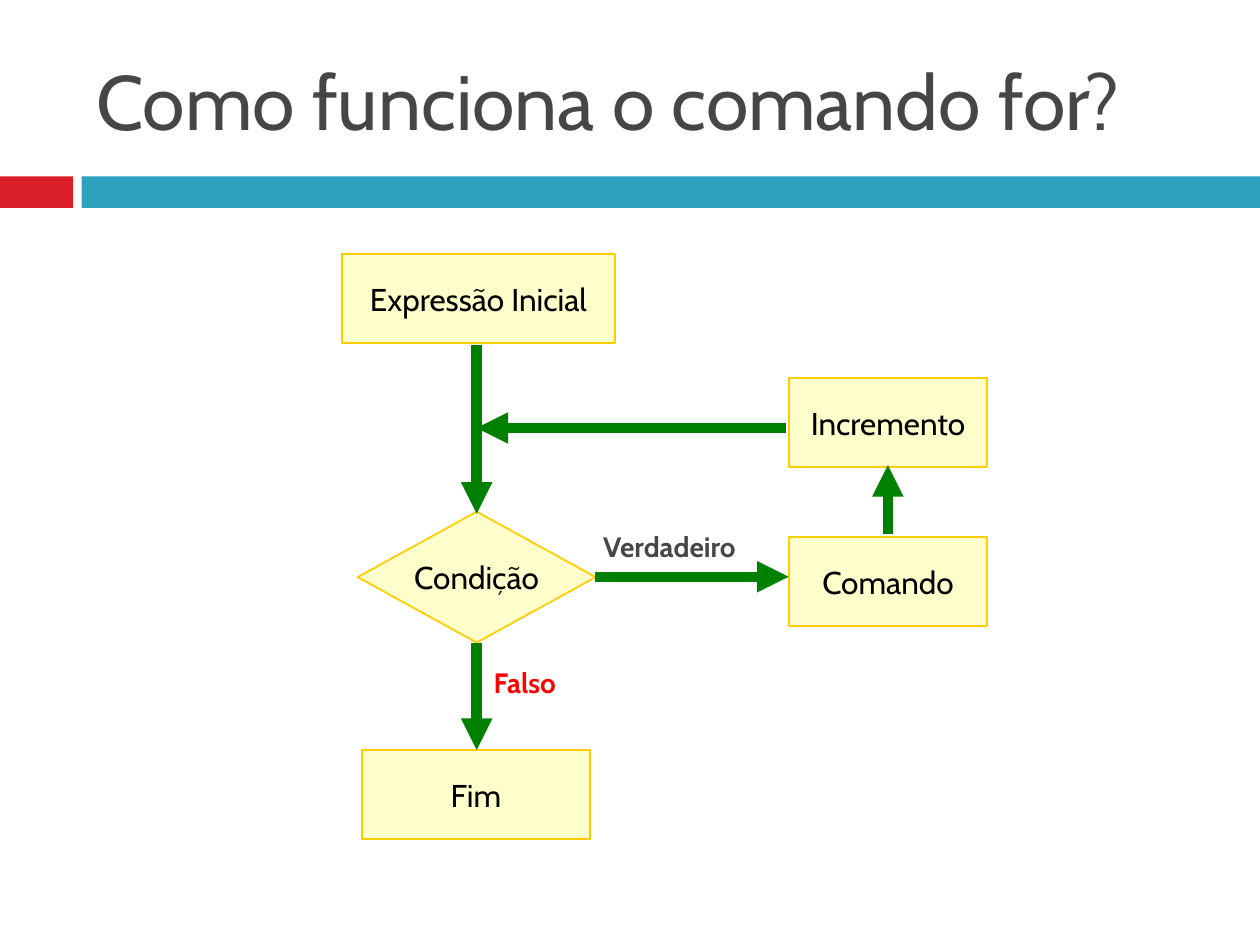
"""Builds a slide with a flowchart of the for loop."""
from lxml import etree
from pptx import Presentation
from pptx.dml.color import RGBColor
from pptx.enum.shapes import MSO_CONNECTOR, MSO_SHAPE
from pptx.enum.text import MSO_ANCHOR, PP_ALIGN
from pptx.oxml.ns import qn
from pptx.util import Pt

RECT, DECISION = MSO_SHAPE.RECTANGLE, MSO_SHAPE.FLOWCHART_DECISION
STRAIGHT = MSO_CONNECTOR.STRAIGHT
TOP, MIDDLE = MSO_ANCHOR.TOP, MSO_ANCHOR.MIDDLE
LEFT, CENTER = PP_ALIGN.LEFT, PP_ALIGN.CENTER

RED_BAR = RGBColor(0xDA, 0x1F, 0x28)
BLUE_BAR = RGBColor(0x2D, 0xA2, 0xBF)
CREAM = RGBColor(0xFF, 0xFF, 0xCC)
GOLD = RGBColor(0xFF, 0xCC, 0x00)
GREEN = RGBColor(0x00, 0x80, 0x00)
GRAY = RGBColor(0x46, 0x46, 0x46)
RED = RGBColor(0xFF, 0x00, 0x00)
BLACK = RGBColor(0x00, 0x00, 0x00)


class Flowchart:
    font = "Cabin"

    def __init__(self, slide):
        self.shapes = slide.shapes

    def set_text(self, sp, text, size, color, bold=False, align=LEFT, anchor=TOP, wrap=False):
        tf = sp.text_frame
        tf.text = text
        tf.word_wrap = wrap
        tf.vertical_anchor = anchor
        p = tf.paragraphs[0]
        p.alignment = align
        font = p.runs[0].font
        font.name, font.size, font.bold = self.font, Pt(size), bold
        font.color.rgb = color

    def shape(self, kind, x, y, w, h, fill):
        sp = self.shapes.add_shape(kind, Pt(x), Pt(y), Pt(w), Pt(h))
        sp.shadow.inherit = False
        sp.fill.solid()
        sp.fill.fore_color.rgb = fill
        sp.line.fill.background()
        return sp

    def bar(self, x, w, fill):
        self.shape(RECT, x, 100.8, w, 18, fill)

    def step(self, text, cx, y, w, h=51, kind=RECT):
        sp = self.shape(kind, cx - w / 2, y, w, h, CREAM)
        sp.line.color.rgb = GOLD
        sp.line.width = Pt(1)
        self.set_text(sp, text, 18, BLACK, align=CENTER, anchor=MIDDLE)

    def text(self, text, x, y, w, h, size, color, **style):
        sp = self.shapes.add_textbox(Pt(x), Pt(y), Pt(w), Pt(h))
        self.set_text(sp, text, size, color, **style)

    def arrow(self, x1, y1, x2, y2):
        s = self.shapes.add_connector(STRAIGHT, Pt(x1), Pt(y1), Pt(x2), Pt(y2))
        s.line.color.rgb = GREEN
        s.line.width = Pt(6)
        props = s.element.spPr
        etree.SubElement(props.find(qn("a:ln")), qn("a:tailEnd"), type="triangle")
        etree.SubElement(props, qn("a:effectLst"))


prs = Presentation()
prs.slide_width, prs.slide_height = Pt(720), Pt(540)
chart = Flowchart(prs.slides.add_slide(prs.slide_layouts[6]))

chart.bar(0, 41.8, RED_BAR)
chart.bar(46.6, 673.4, BLUE_BAR)
chart.text("Como funciona o comando for?", 48, 18, 657.4, 77.8, 44, GRAY, anchor=MIDDLE, wrap=True)

main_x, loop_x = 272.4, 507.4
chart.step("Expressão Inicial", 273.4, 145.2, 156)
chart.step("Fim", 272, 428.6, 130.4)
chart.step("Comando", loop_x, 306.8, 113.4)
chart.step("Incremento", loop_x, 216, 113.4)
chart.step("Condição", main_x, 292.4, 136, 74.8, DECISION)

for ends in (
    (main_x, 197, main_x, 293.6),
    (main_x, 367.2, main_x, 428.6),
    (340.2, 329.6, 450.7, 329.6),
    (loop_x, 305.4, loop_x, 265.8),
    (449.4, 244.6, main_x, 244.6),
):
    chart.arrow(*ends)

chart.text("Verdadeiro", 337.6, 298.8, 98, 26.6, 16, GRAY, bold=True)
chart.text("Falso", 275, 376.6, 56.2, 26.6, 16, RED, bold=True)

prs.save("out.pptx")
